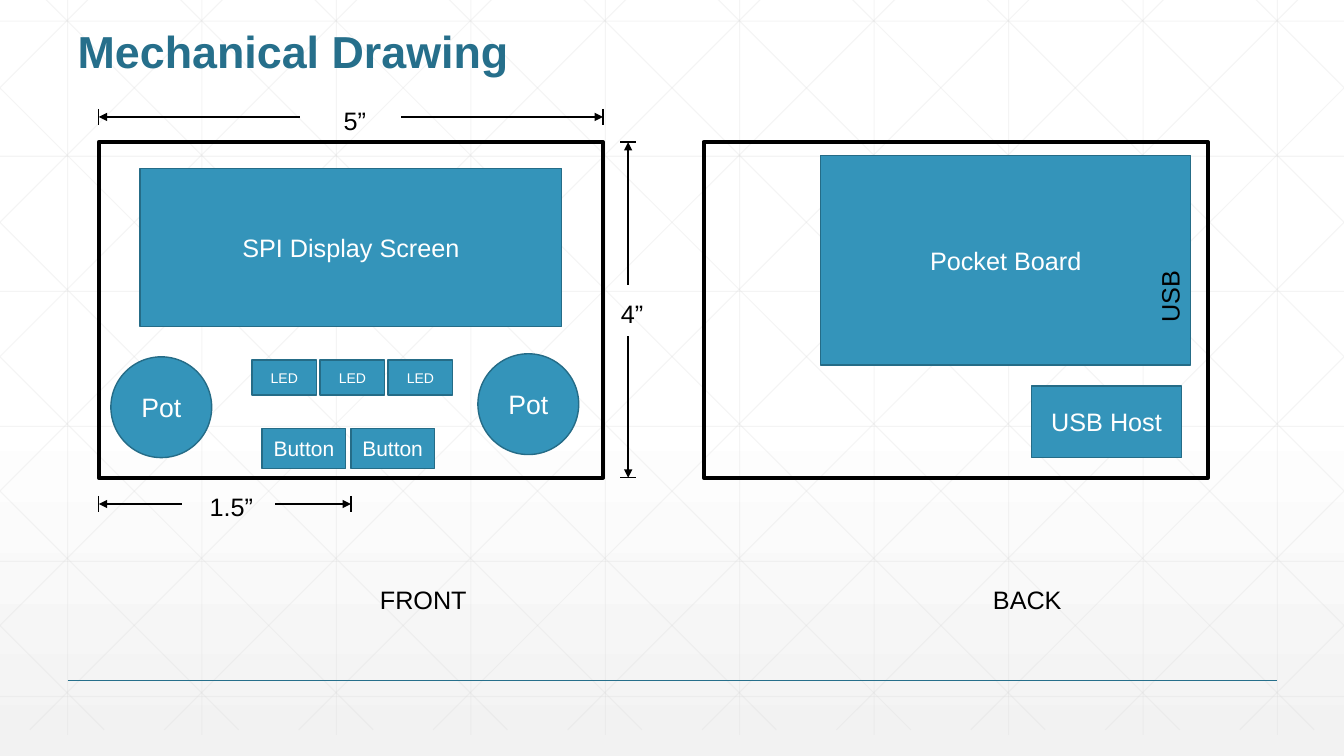
from lxml import etree
from pptx import Presentation
from pptx import util as u
from pptx.dml.color import RGBColor
from pptx.enum import shapes as kinds, text as txt
from pptx.oxml import ns

TEAL = RGBColor(0x26, 0x6F, 0x8B)
BLUE = RGBColor(0x34, 0x94, 0xBA)
EDGE = RGBColor(0x25, 0x6C, 0x87)
GRID = RGBColor(0xD8, 0xD8, 0xD8)
PALE = RGBColor(0xF2, 0xF2, 0xF2)
BLACK = RGBColor(0, 0, 0)
WHITE = RGBColor(0xFF, 0xFF, 0xFF)
FONT = "Arial"
WIDE, HIGH = 13.33, 7.5
TOP, BASE = -0.21, 7.29
STEP = 4 / 3
CASE = (5, 3.33)
LEFT, ROOF, FLOOR = 0.98, 1.41, 4.74
TICK = 0.08
RECT = kinds.MSO_SHAPE.RECTANGLE
OVAL = kinds.MSO_SHAPE.OVAL


def style(item, values):
    for name, value in values.items():
        setattr(item, name, value)


def write(frame, words, size, color, align=None, bold=False):
    frame.text = words
    para = frame.paragraphs[0]
    para.alignment = align
    style(para.font, {"name": FONT, "size": u.Pt(size), "bold": bold})
    para.font.color.rgb = color


def add_line(shapes, start, end, color=BLACK, width=1, arrow=False, alpha=None):
    ends = [u.Inches(value) for value in (*start, *end)]
    line = shapes.add_connector(kinds.MSO_CONNECTOR.STRAIGHT, *ends)
    line.line.color.rgb = color
    line.line.width = u.Pt(width)
    props = line.element.spPr
    etree.SubElement(props, ns.qn("a:effectLst"))
    if arrow:
        etree.SubElement(props.find(ns.qn("a:ln")), ns.qn("a:headEnd"), type="triangle")
    if alpha:
        tint = next(props.iter(ns.qn("a:srgbClr")))
        etree.SubElement(tint, ns.qn("a:alpha"), val=str(alpha * 1000))


def add_part(shapes, words, box, size=18, kind=RECT):
    part = shapes.add_shape(kind, *map(u.Inches, box))
    part.shadow.inherit = False
    part.fill.solid()
    part.fill.fore_color.rgb = BLUE
    part.line.color.rgb = EDGE
    part.line.width = u.Pt(1)
    part.text_frame.vertical_anchor = txt.MSO_ANCHOR.MIDDLE
    write(part.text_frame, words, size, WHITE, txt.PP_ALIGN.CENTER)


def add_case(shapes, left):
    case = shapes.add_shape(RECT, *map(u.Inches, (left, ROOF, *CASE)))
    case.shadow.inherit = False
    case.fill.background()
    case.line.color.rgb = BLACK
    case.line.width = u.Pt(3)


def add_label(shapes, words, left, top, width, turn=0):
    label = shapes.add_textbox(*map(u.Inches, (left, top, width, 0.4)))
    label.rotation = turn
    write(label.text_frame, words, 18, BLACK)


def add_span(shapes, level, near, far, upright=False):
    def spot(along, across):
        return (across, along) if upright else (along, across)

    for end, gap in (near, far):
        add_line(shapes, spot(end, level), spot(gap, level), arrow=True)
        add_line(shapes, spot(end, level - TICK), spot(end, level + TICK))


def add_grid(shapes):
    group = shapes.add_group_shape()
    rays = []
    for i in range(10):
        x = 0.67 + i * STEP
        rays.append(((x, TOP), (x, BASE)))
    for i in range(6):
        y = 0.21 + i * 1.34
        rays.append(((0, y), (WIDE, y)))
    for i in range(-5, 10):
        x = 0.25 + i * STEP
        skip = max(0, -x)
        run = min(7.45, WIDE - x)
        low, high = x + skip, x + run
        up, down = TOP + skip, TOP + run
        rays.append(((low, up), (high, down)))
        rays.append(((WIDE - low, up), (WIDE - high, down)))
    for start, end in rays:
        add_line(group.shapes, start, end, GRID, 0.75, alpha=25)
    return group


def set_back(slide):
    fill = slide.background.fill
    fill.gradient()
    fill.gradient_angle = 270
    stops = ((0.53, WHITE), (1, PALE))
    for stop, (place, color) in zip(fill.gradient_stops, stops):
        stop.position = place
        stop.color.rgb = color


def set_title(title, words):
    style(title, dict(zip(("left", "top", "width", "height"),
                          map(u.Inches, (0.67, 0.25, 12, 1)))))
    style(title.text_frame, {"vertical_anchor": txt.MSO_ANCHOR.TOP,
                             "auto_size": txt.MSO_AUTO_SIZE.NONE,
                             "word_wrap": True})
    write(title.text_frame, words, 32, TEAL, txt.PP_ALIGN.LEFT, True)
    title.text_frame.paragraphs[0].line_spacing = 0.9


def add_front(shapes):
    add_case(shapes, LEFT)
    add_span(shapes, 1.16, (LEFT, 2.98), (5.98, 3.98))
    add_label(shapes, "5”", 3.31, 1, 0.43)
    add_span(shapes, 6.23, (ROOF, 2.83), (FLOOR, 3.33), upright=True)
    add_label(shapes, "4”", 6.06, 2.91, 0.43)
    add_span(shapes, 5, (LEFT, 1.81), (3.48, 2.73))
    add_label(shapes, "1.5”", 1.98, 4.83, 0.64)
    add_part(shapes, "SPI Display Screen", (1.39, 1.67, 4.18, 1.57))
    for x, y in ((1.1, 3.54), (4.74, 3.51)):
        add_part(shapes, "Pot", (x, y, 1, 1), 19, OVAL)
    for i in range(3):
        add_part(shapes, "LED", (2.5 + i * 0.675, 3.57, 0.64, 0.35), 10)
    for i in range(2):
        add_part(shapes, "Button", (2.6 + i * 0.88, 4.25, 0.83, 0.4), 15)
    add_label(shapes, "FRONT", 3.67, 5.75, 1.07)


def add_rear(shapes):
    add_part(shapes, "Pocket Board", (8.14, 1.54, 3.67, 2.08))
    add_part(shapes, "USB Host", (10.23, 3.83, 1.49, 0.71))
    add_label(shapes, "USB", 11.24, 2.74, 0.72, 270)
    add_case(shapes, 6.98)
    add_label(shapes, "BACK", 9.75, 5.75, 0.89)


def main():
    deck = Presentation()
    deck.slide_width, deck.slide_height = u.Inches(WIDE), u.Inches(HIGH)
    slide = deck.slides.add_slide(deck.slide_layouts[5])
    shapes = slide.shapes
    set_back(slide)
    grid = add_grid(shapes)
    shapes.title.element.addprevious(grid.element)
    add_line(shapes, (0.67, 6.75), (12.67, 6.75), TEAL)
    set_title(shapes.title, "Mechanical Drawing")
    add_front(shapes)
    add_rear(shapes)
    deck.save("out.pptx")


main()
